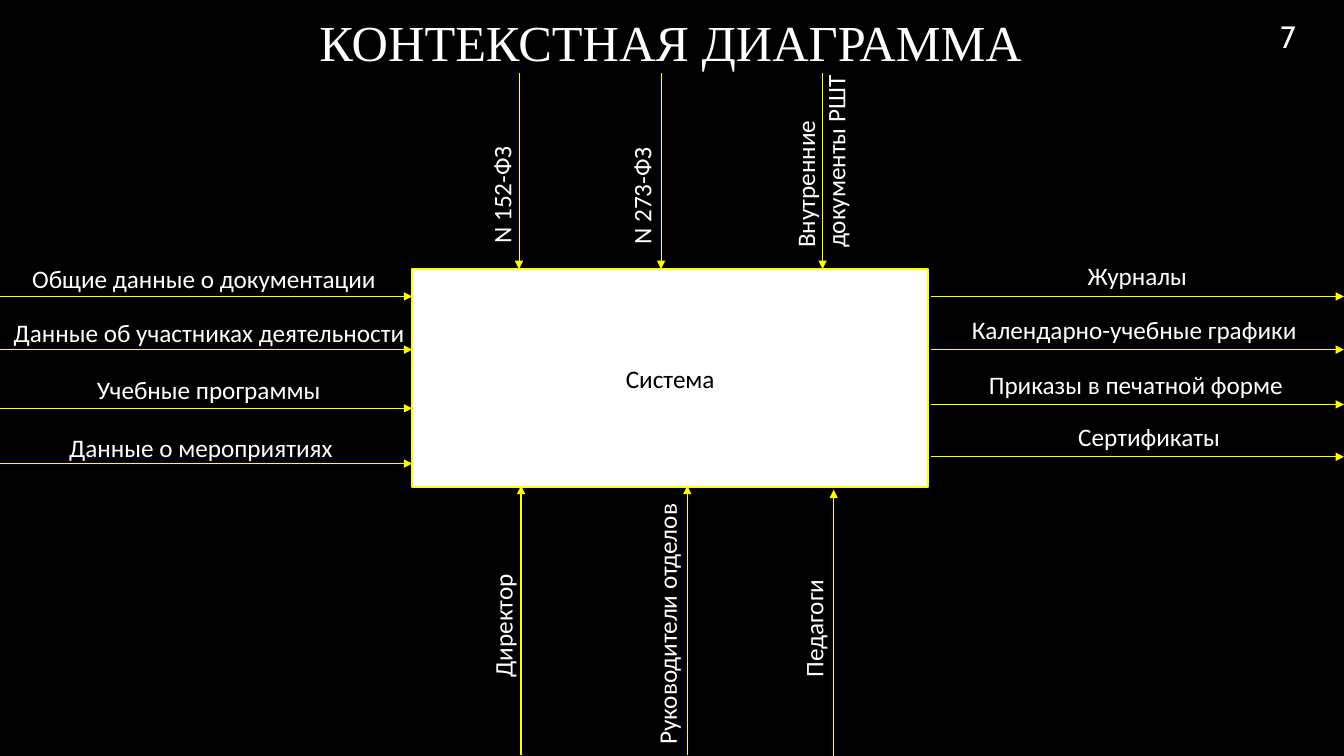
from lxml import etree
from pptx import Presentation
from pptx.dml.color import RGBColor
from pptx.enum.shapes import MSO_CONNECTOR, MSO_SHAPE
from pptx.enum.text import MSO_ANCHOR, PP_ALIGN
from pptx.oxml.ns import qn
from pptx.util import Cm, Pt

LEFT, CENTER = PP_ALIGN.LEFT, PP_ALIGN.CENTER
TOP, MIDDLE = MSO_ANCHOR.TOP, MSO_ANCHOR.MIDDLE
STRAIGHT, RECT = MSO_CONNECTOR.STRAIGHT, MSO_SHAPE.RECTANGLE
COLORS = {"back": "000000", "text": "FFFFFF", "line": "FFFF00"}

# Content, lengths in cm
WIDE, HIGH = 33.87, 19.05
ROW = 1.02
TITLE = ("КОНТЕКСТНАЯ ДИАГРАММА", (-0.03, 0.05, WIDE, 2.01))
NUMBER = ("7", (31.04, 0, 2.84, 1.83))
SYSTEM = ("Система", (10.39, 6.78, 13, 5.49))

# Flows: text, arrow y, label left, top, width, alignment
INPUTS = [
    ("Общие данные о документации", 7.47, 0.56, 6.5, 9.3, LEFT),
    ("Данные об участниках деятельности", 8.81, 0, 7.87, 10.54, CENTER),
    ("Учебные программы", 10.29, 0.61, 9.32, 9.3, CENTER),
    ("Данные о мероприятиях", 11.68, -0.08, 10.77, 10.29, CENTER),
]
OUTPUTS = [
    ("Журналы", 7.47, 23.47, 6.43, 10.39, CENTER),
    ("Календарно-учебные графики", 8.81, 23.39, 7.8, 10.39, CENTER),
    ("Приказы в печатной форме", 10.19, 23.47, 9.17, 10.31, CENTER),
    ("Сертификаты", 11.51, 26.92, 10.49, 5.16, LEFT),
]
# Upright flows: text, arrow x, start y, end y, label box before turning
UPRIGHT = [
    ("N 152-ФЗ", 13.08, 1.83, 6.78, (10.95, 4.19, 3.38, ROW)),
    ("N 273-ФЗ", 16.66, 1.83, 6.78, (14.68, 4.42, 2.97, ROW)),
    ("Внутренние документы РШТ", 20.73, 1.83, 6.78, (18.21, 3.12, 4.95, 1.8)),
    ("Директор", 13.13, 19.02, 12.24, (11.07, 15.21, 3.2, ROW)),
    ("Руководители отделов", 17.32, 19.02, 12.24, (12.9, 14.6, 7.82, ROW)),
    ("Педагоги", 21.01, HIGH, 12.34, (18.9, 15.21, 3.2, ROW)),
]


def color(name):
    return RGBColor.from_string(COLORS[name])


def write(shape, text, size=18, font="Calibri", tint="text", align=CENTER, anchor=TOP):
    frame = shape.text_frame
    frame.word_wrap = True
    frame.vertical_anchor = anchor
    para = frame.paragraphs[0]
    para.text = text
    para.alignment = align
    para.font.size = Pt(size)
    para.font.name = font
    para.font.color.rgb = color(tint)


def label(text, box, turn=0, **style):
    shape = slide.shapes.add_textbox(*map(Cm, box))
    shape.rotation = turn
    write(shape, text, **style)


def arrow(*ends):
    line = slide.shapes.add_connector(STRAIGHT, *map(Cm, ends))
    line.line.color.rgb = color("line")
    line.line.width = Pt(0.75)
    etree.SubElement(line.line._get_or_add_ln(), qn("a:tailEnd"), type="triangle")
    etree.SubElement(line._element.spPr, qn("a:effectLst"))


deck = Presentation()
deck.slide_width, deck.slide_height = Cm(WIDE), Cm(HIGH)
slide = deck.slides.add_slide(deck.slide_layouts[6])
slide.background.fill.solid()
slide.background.fill.fore_color.rgb = color("back")

# Title and slide number
label(*TITLE, size=36, font="Times New Roman", anchor=MIDDLE)
label(*NUMBER, size=22, font="Cabin", anchor=MIDDLE)

# System box
name, box = SYSTEM
system = slide.shapes.add_shape(RECT, *map(Cm, box))
system.shadow.inherit = False
system.fill.solid()
system.fill.fore_color.rgb = color("text")
system.line.color.rgb = color("line")
system.line.width = Pt(1.5)
write(system, name, tint="back", anchor=MIDDLE)

# Inputs and outputs
for flows, start, end in ((INPUTS, 0, 10.39), (OUTPUTS, 23.47, WIDE)):
    for text, y, left, top, width, align in flows:
        arrow(start, y, end, y)
        label(text, (left, top, width, ROW), align=align)

# Controls above and people below
for text, x, start, end, box in UPRIGHT:
    arrow(x, start, x, end)
    label(text, box, turn=270, align=LEFT)

deck.save("out.pptx")
